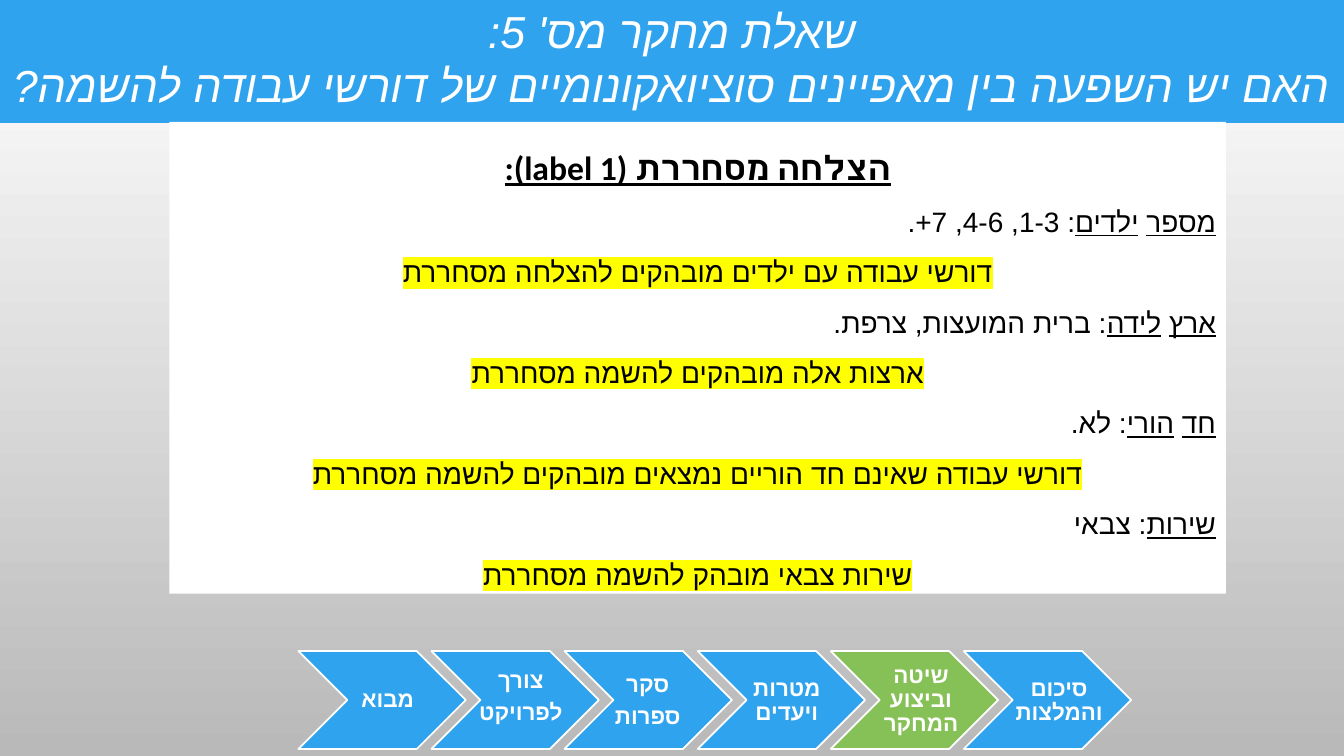
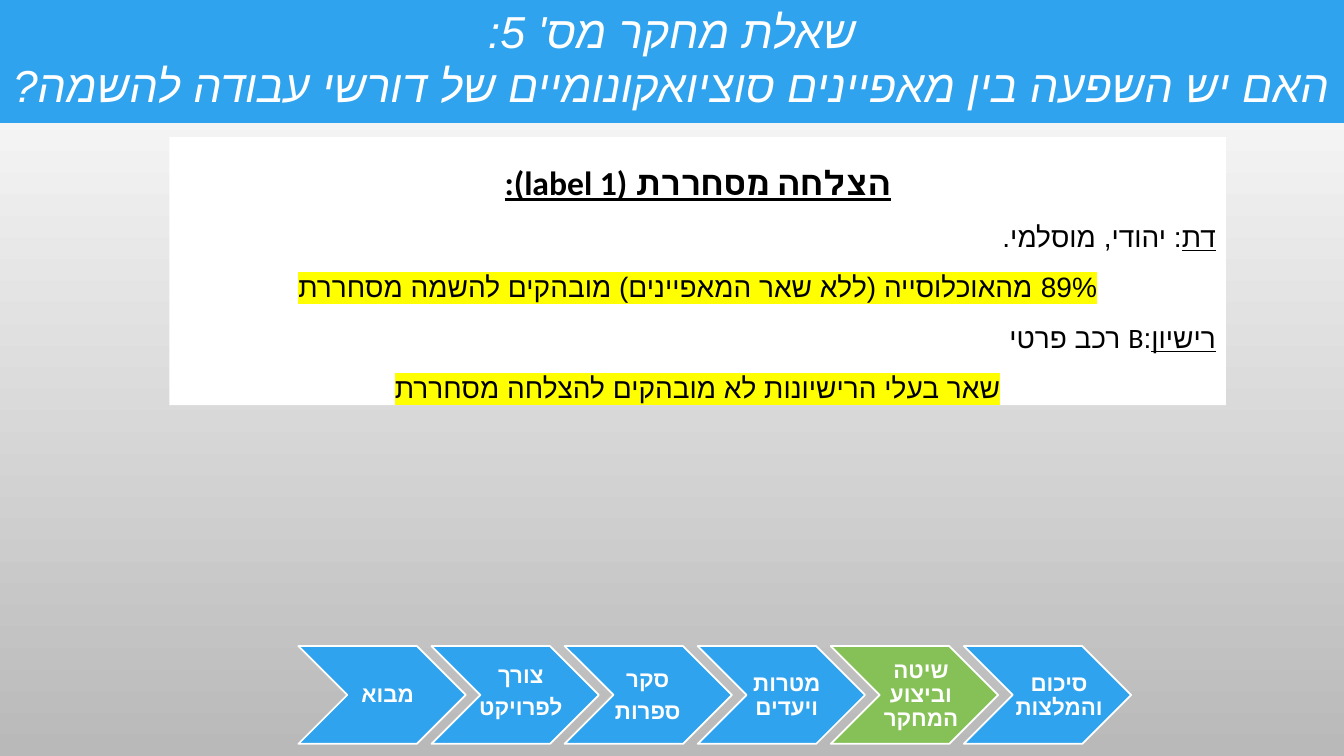
from lxml import etree
from pptx import Presentation
from pptx.dml.color import RGBColor
from pptx.enum.shapes import MSO_SHAPE
from pptx.enum.text import MSO_ANCHOR, MSO_AUTO_SIZE, PP_ALIGN
from pptx.oxml.ns import qn
from pptx.util import Inches, Pt

CHEVRON = MSO_SHAPE.CHEVRON
TOP, MIDDLE = MSO_ANCHOR.TOP, MSO_ANCHOR.MIDDLE
FIXED = MSO_AUTO_SIZE.NONE
CENTER, RIGHT = PP_ALIGN.CENTER, PP_ALIGN.RIGHT

COLORS = {"blue": "2FA3EE", "green": "86C157", "white": "FFFFFF",
          "black": "000000", "grey": "B9B9B9", "yellow": "FFFF00"}
FONT, HEBREW = "Calibri", "Arial"
TITLE = ["שאלת מחקר מס' 5:",
         "האם יש השפעה בין מאפיינים סוציואקונומיים של דורשי עבודה להשמה?"]
HEADING = "הצלחה מסחררת (label 1):"
STEPS = [
    (["מבוא"], 0.36, 0),
    (["צורך", "לפרויקט"], 0.36, -0.03),
    (["סקר", "ספרות"], 0.3, 0.01),
    (["מטרות ויעדים"], 0.36, 0.01),
    (["שיטה וביצוע המחקר"], 0.37, 0),
    (["סיכום והמלצות"], 0.42, 0.01),
]
ACTIVE = 4
SLIDES = [
    ((1.68, 1.21, 10.48, 4.68), 6.46, [
        ("מספר ילדים", ": 1-3, 4-6, 7+.",
         "דורשי עבודה עם ילדים מובהקים להצלחה מסחררת"),
        ("ארץ לידה", ": ברית המועצות, צרפת.",
         "ארצות אלה מובהקים להשמה מסחררת"),
        ("חד הורי", ": לא.",
         "דורשי עבודה שאינם חד הוריים נמצאים מובהקים להשמה מסחררת"),
        ("שירות", ": צבאי", "שירות צבאי מובהק להשמה מסחררת"),
    ]),
    ((1.68, 1.36, 10.48, 2.66), 6.41, [
        ("דת", ": יהודי, מוסלמי.",
         "89% מהאוכלוסייה (ללא שאר המאפיינים) מובהקים להשמה מסחררת"),
        ("רישיון", ":B רכב פרטי",
         "שאר בעלי הרישיונות לא מובהקים להצלחה מסחררת"),
    ]),
]


def color(name):
    """Return the named colour."""
    return RGBColor.from_string(COLORS[name])


def paint(shape, name):
    """Fill a shape with one colour."""
    shape.fill.solid()
    shape.fill.fore_color.rgb = color(name)


def place(shape, box):
    """Move a shape to a box given in inches."""
    shape.left, shape.top, shape.width, shape.height = map(Inches, box)


def setup(frame, anchor):
    """Give a text frame its wrapping and anchor."""
    frame.word_wrap = True
    frame.auto_size = FIXED
    frame.vertical_anchor = anchor


def write(frame, size, tint, align=CENTER, script=HEBREW):
    """Start a right-to-left paragraph in a text frame."""
    para = frame.paragraphs[0]
    if para.runs:
        para = frame.add_paragraph()
    para.alignment = align
    para.space_before = Pt(0)
    props = para._p.get_or_add_pPr()
    for key, value in (("rtl", "1"), ("marL", "0"), ("indent", "0")):
        props.set(key, value)
    etree.SubElement(props, qn("a:buNone"))
    font = para.font
    font.name, font.size = FONT, Pt(size)
    font.color.rgb = color(tint)
    etree.SubElement(font._element, qn("a:cs")).set("typeface", script)
    return para


def put(para, text, under=None):
    """Add a run to a paragraph."""
    run = para.add_run()
    run.text = text
    run.font.underline = under
    return run


def mark(run):
    """Highlight a run in yellow."""
    light = etree.SubElement(run.font._element, qn("a:highlight"))
    etree.SubElement(light, qn("a:srgbClr")).set("val", COLORS["yellow"])


def band(slide):
    """Format the title as a full-width band."""
    title = slide.shapes.title
    place(title, (0, -0.01, 13.33, 1.23))
    paint(title, "blue")
    setup(title.text_frame, TOP)
    for line in TITLE:
        para = write(title.text_frame, 32, "white")
        para.font.italic = True
        put(para, line)


def panel(slide, box, facts):
    """Fill the body with the heading, traits and findings."""
    body = slide.placeholders[1]
    place(body, box)
    paint(body, "white")
    frame = body.text_frame
    setup(frame, TOP)
    head = write(frame, 24, "black", script=FONT)
    head.font.bold = True
    put(head, HEADING, True)
    for label, value, finding in facts:
        trait = write(frame, 20, "black", RIGHT)
        for place_no, word in enumerate(label.split()):
            if place_no:
                put(trait, " ")
            put(trait, word, True)
        put(trait, value)
        mark(put(write(frame, 20, "black"), finding))
    for para in frame.paragraphs:
        para.line_spacing = 1.5


def step(slide, box, lines, shift, fill):
    """Group one chevron with its label."""
    left, top, width, height = box
    group = slide.shapes.add_group_shape().shapes
    arrow = group.add_shape(CHEVRON, *map(Inches, box))
    arrow.shadow.inherit = False
    paint(arrow, fill)
    arrow.line.color.rgb = color("white")
    arrow.line.width = Pt(1.25)
    area = (left + shift[0], top + shift[1], 1, height)
    frame = group.add_textbox(*map(Inches, area)).text_frame
    setup(frame, MIDDLE)
    frame.margin_left = Inches(0.07)
    frame.margin_top = frame.margin_right = frame.margin_bottom = Inches(0.02)
    for line in lines:
        para = write(frame, 16, "white")
        para.font.bold = True
        para.line_spacing = 0.9
        para.space_after = Pt(5.6)
        put(para, line)


def track(slide, left, top):
    """Draw the row of project steps."""
    for index, (lines, across, down) in enumerate(STEPS):
        box = (left + 1.32 * index, top, 1.66, 0.97)
        fill = "green" if index == ACTIVE else "blue"
        step(slide, box, lines, (across, down), fill)


def shade(master):
    """Set the grey gradient behind all slides."""
    fill = master.background.fill
    fill.gradient()
    fill.gradient_angle = 270
    for stop, name in zip(fill.gradient_stops, ("white", "grey")):
        stop.color.rgb = color(name)


def main():
    """Build and save the deck."""
    deck = Presentation()
    deck.slide_width, deck.slide_height = Inches(13.33), Inches(7.5)
    shade(deck.slide_master)
    for box, top, facts in SLIDES:
        slide = deck.slides.add_slide(deck.slide_layouts[1])
        band(slide)
        panel(slide, box, facts)
        track(slide, 2.96, top)
    deck.save("out.pptx")


if __name__ == "__main__":
    main()
